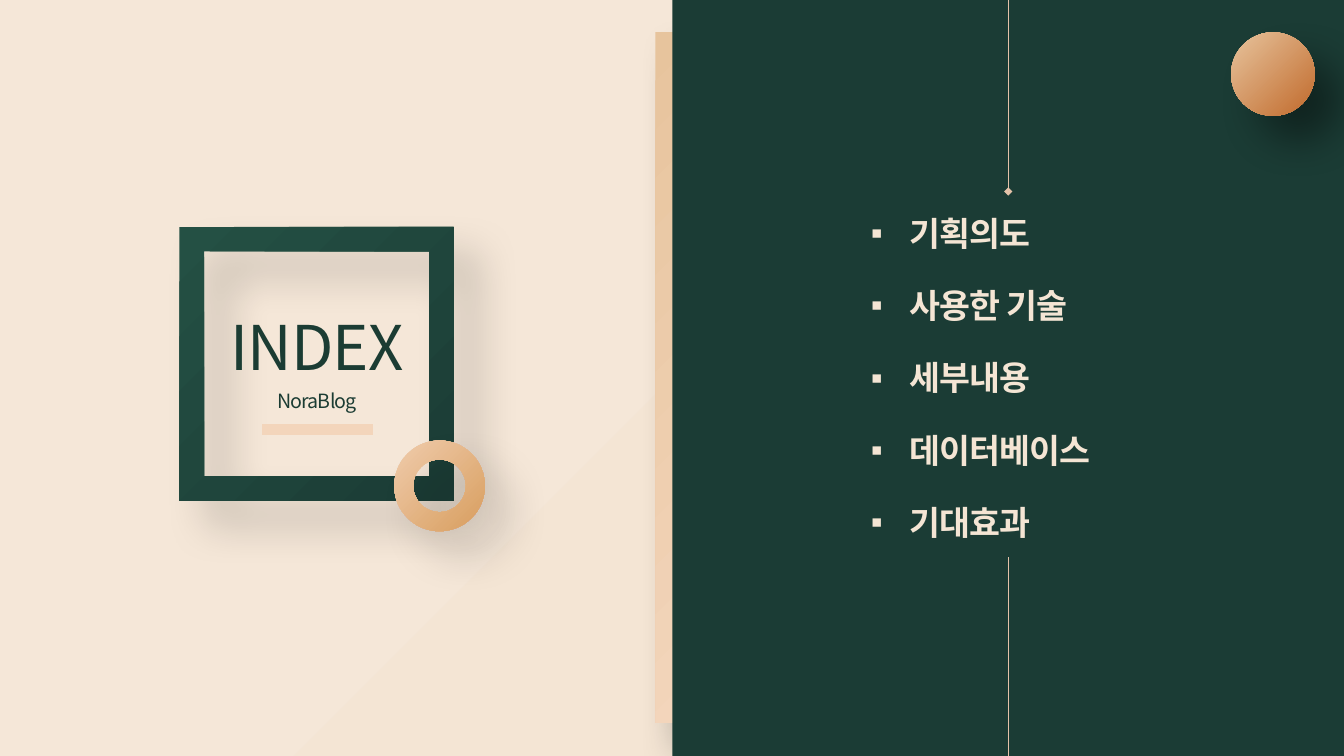
from dataclasses import dataclass

from lxml import etree
from pptx import Presentation
from pptx import util as u
from pptx.dml.color import RGBColor
from pptx.enum import shapes, text
from pptx.oxml import parse_xml
from pptx.oxml.ns import nsdecls, qn


@dataclass(frozen=True)
class Theme:
    """Colours, font and type sizes of the slide."""
    font: str = "Noto Sans CJK KR"
    green: str = "1B3C33"
    cream: str = "F4E5D4"
    line: str = "E4C2A9"
    underline: str = "F3D5BB"
    backdrop: tuple = ("F5E7D8", "F4E5D4")
    panel: tuple = ("1B3C35", "1B3C33")
    strip: tuple = ("E7C49D", "F3D5BB")
    frame: tuple = ("245044", "1B3C35")
    ring: tuple = ("F0CCAC", "D89E5F")
    ball: tuple = ("E7C49D", "C16A2C")
    heading_size: int = 44
    caption_size: int = 14
    item_size: int = 24
    item_gap: float = 22.9


THEME = Theme()
TOPICS = ("기획의도", "사용한 기술", "세부내용", "데이터베이스", "기대효과")


def fill_gradient(fill, colours):
    """Fill with a diagonal blend of two colours."""
    fill.gradient()
    fill.gradient_angle = 315
    for stop, colour, position in zip(fill.gradient_stops, colours, (0, 1)):
        stop.color.rgb = RGBColor.from_string(colour)
        stop.position = position


def add_shadow(shape, opacity):
    """Give a shape a soft shadow towards the lower right."""
    shape._element.spPr.append(parse_xml(
        f'<a:effectLst {nsdecls("a")}><a:outerShdw blurRad="{u.Pt(30)}" '
        f'dist="{u.Pt(26)}" dir="2700000" algn="tl" rotWithShape="0">'
        f'<a:srgbClr val="000000"><a:alpha val="{opacity * 1000}"/></a:srgbClr>'
        '</a:outerShdw></a:effectLst>'))


def add_figure(slide, kind, box, colours, opacity=0, adjust=None):
    """Add a borderless gradient shape, with a shadow if opacity is given."""
    figure = slide.shapes.add_shape(kind, *map(u.Inches, box))
    fill_gradient(figure.fill, colours)
    figure.line.fill.background()
    if adjust is not None:
        figure.adjustments[0] = adjust
    if opacity:
        add_shadow(figure, opacity)
    else:
        figure.shadow.inherit = False


def add_rule(slide, start, end, colour, width=0.75, tail=None):
    """Add a straight line, with an optional mark at its end."""
    rule = slide.shapes.add_connector(
        shapes.MSO_CONNECTOR.STRAIGHT, *map(u.Inches, start + end))
    rule.line.color.rgb = RGBColor.from_string(colour)
    rule.line.width = u.Pt(width)
    if tail:
        etree.SubElement(rule.line._get_or_add_ln(), qn("a:tailEnd"), type=tail)
    etree.SubElement(rule._element.spPr, qn("a:effectLst"))


def add_bullet(paragraph):
    """Give a paragraph a square bullet and a hanging indent."""
    properties = paragraph._p.get_or_add_pPr()
    properties.set("marL", str(u.Inches(0.38)))
    properties.set("indent", str(u.Inches(-0.38)))
    etree.SubElement(properties, qn("a:buFont"), typeface="Arial")
    etree.SubElement(properties, qn("a:buChar"), char="▪")


def write(shape, lines, *, size, colour, bold=False, align=text.PP_ALIGN.LEFT,
          spacing=None, gap=0, inset=0, bullets=False):
    """Write lines into a shape, one paragraph each."""
    frame = shape.text_frame
    frame.word_wrap = True
    frame.auto_size = text.MSO_AUTO_SIZE.NONE
    frame.vertical_anchor = text.MSO_ANCHOR.MIDDLE
    frame.margin_left = frame.margin_right = u.Inches(inset)
    frame.margin_top = frame.margin_bottom = u.Inches(inset / 2)
    for index, line in enumerate(lines):
        paragraph = frame.add_paragraph() if index else frame.paragraphs[0]
        paragraph.alignment = align
        paragraph.line_spacing = spacing
        paragraph.space_before = u.Pt(gap if index else 0)
        if bullets:
            add_bullet(paragraph)
        run = paragraph.add_run()
        run.text = line
        run.font.size = u.Pt(size)
        run.font.bold = bold
        run.font.name = THEME.font
        run.font.color.rgb = RGBColor.from_string(colour)
        properties = run.font._element
        properties.set("spc", "-60")
        etree.SubElement(properties, qn("a:ea"), typeface=THEME.font)


def add_heading(slide):
    """Place the slide title and its caption inside the frame."""
    style = {"colour": THEME.green, "align": text.PP_ALIGN.CENTER, "spacing": 1.2}
    heading = slide.shapes.title
    heading.left, heading.top, heading.width, heading.height = map(
        u.Inches, (1.78, 3.05, 2.73, 0.62))
    slide.shapes._spTree.append(heading._element)
    write(heading, ["INDEX"], size=THEME.heading_size, **style)
    caption = slide.shapes.add_textbox(*map(u.Inches, (1.78, 3.78, 2.73, 0.34)))
    write(caption, ["NoraBlog"], size=THEME.caption_size, **style)


def add_topics(slide):
    """Add the bulleted list of topics."""
    topics = slide.shapes.add_textbox(*map(u.Inches, (8.54, 0.32, 2.53, 6.85)))
    write(topics, TOPICS, size=THEME.item_size, colour=THEME.cream, bold=True,
          gap=THEME.item_gap, inset=0.1, bullets=True)


def main():
    """Build the index slide and save it."""
    deck = Presentation()
    deck.slide_width, deck.slide_height = u.Inches(13.33), u.Inches(7.5)
    slide = deck.slides.add_slide(deck.slide_layouts.get_by_name("Title Only"))
    fill_gradient(slide.background.fill, THEME.backdrop)

    kind = shapes.MSO_SHAPE
    add_figure(slide, kind.RECTANGLE, (6.5, 0.32, 0.37, 6.85), THEME.strip, 40)
    add_figure(slide, kind.RECTANGLE, (6.67, 0, 6.66, 7.5), THEME.panel)
    add_figure(slide, kind.FRAME, (1.78, 2.25, 2.72, 2.72), THEME.frame, 17, 0.09)
    add_figure(slide, kind.DONUT, (3.91, 4.37, 0.9, 0.9), THEME.ring, 17, 0.21)
    add_heading(slide)
    add_topics(slide)
    add_figure(slide, kind.OVAL, (12.21, 0.32, 0.83, 0.83), THEME.ball, 40)
    add_rule(slide, (10, 0), (10, 1.9), THEME.line, tail="diamond")
    add_rule(slide, (10, 5.53), (10, 7.5), THEME.line)
    add_rule(slide, (2.6, 4.26), (3.7, 4.26), THEME.underline, width=8)
    deck.save("out.pptx")


if __name__ == "__main__":
    main()
